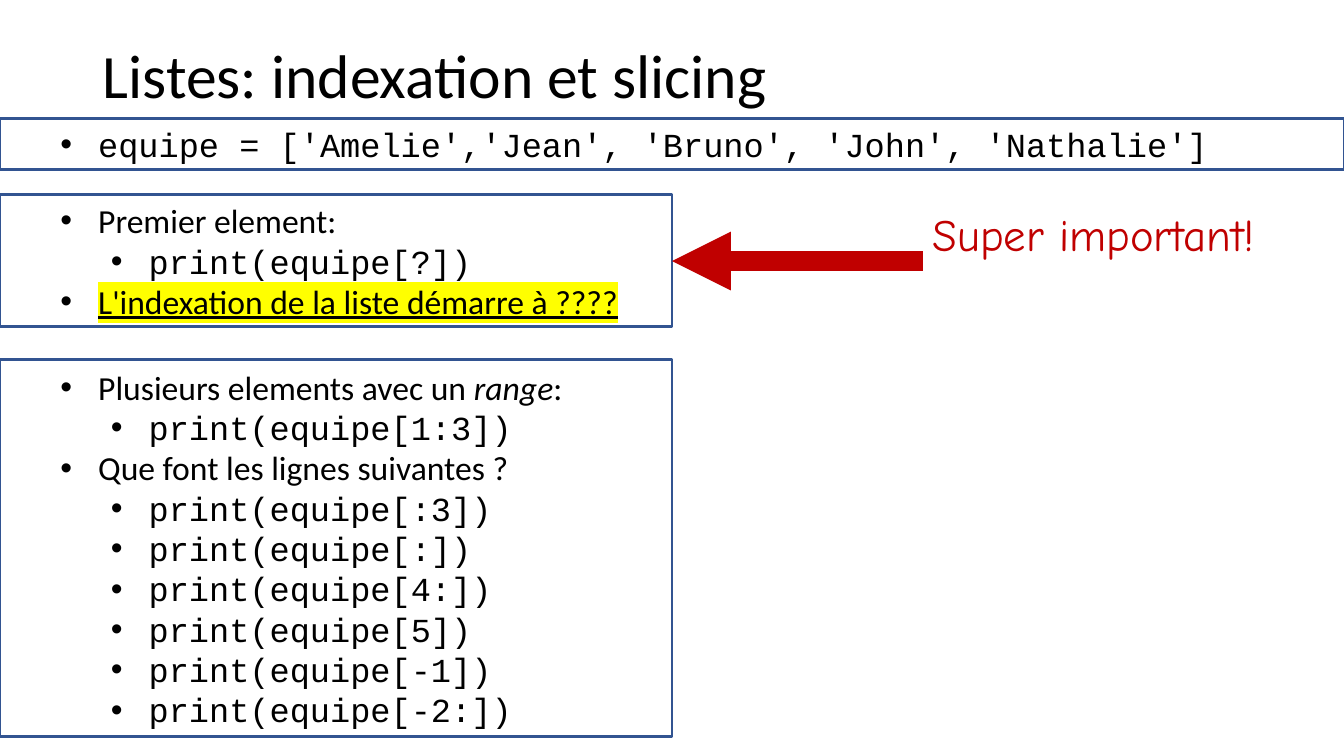
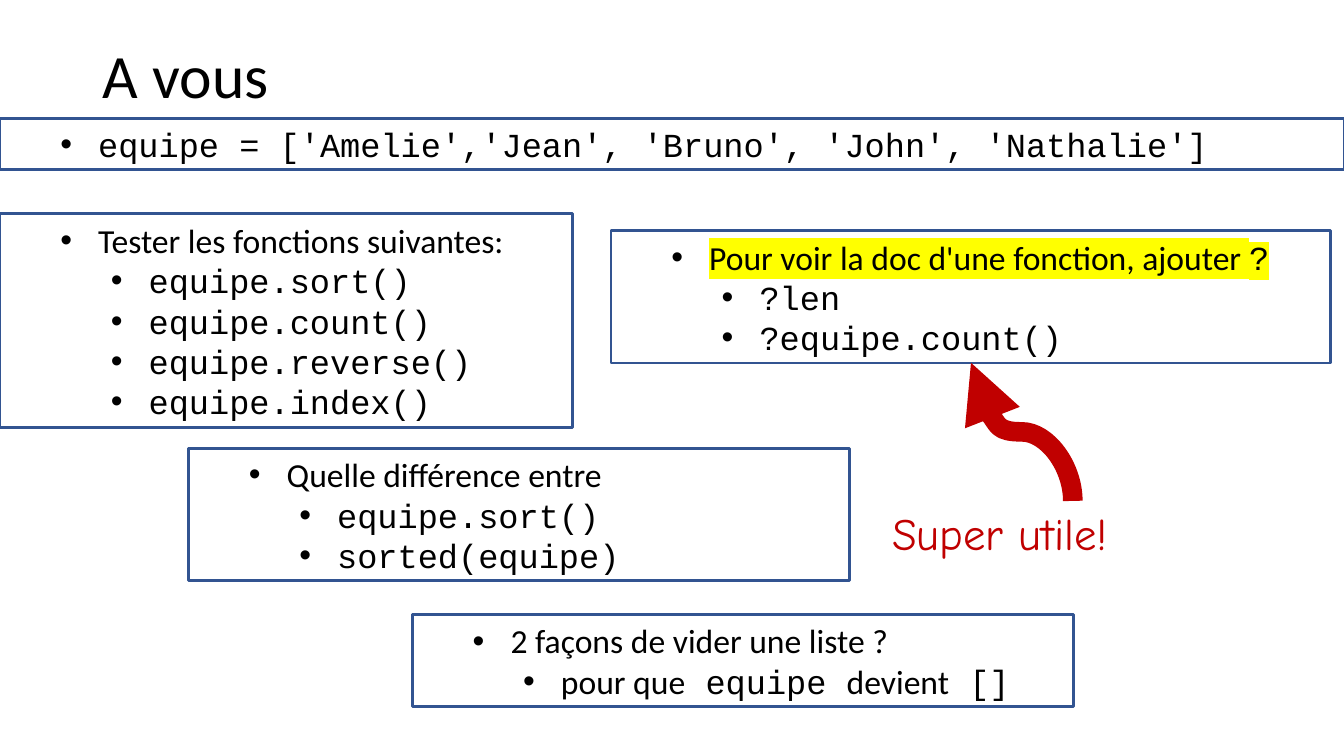
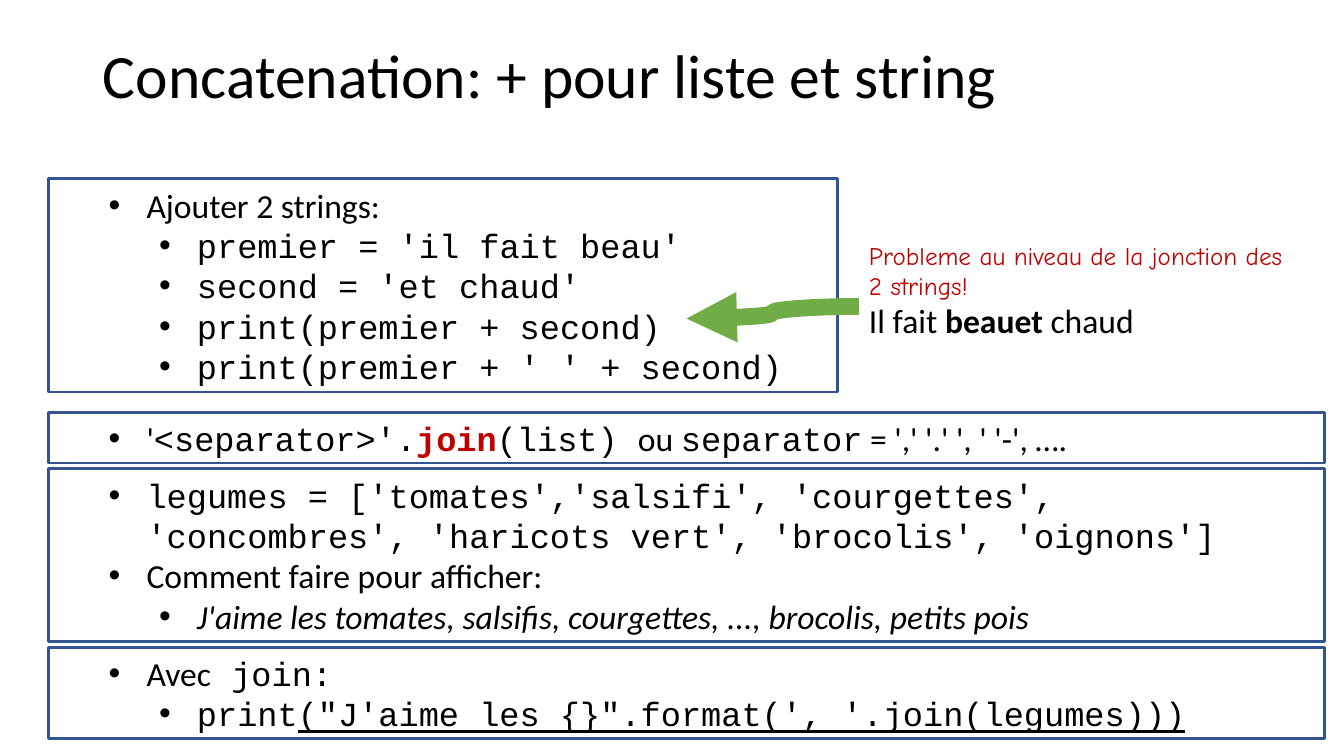
from lxml import etree
from pptx import Presentation
from pptx.dml.color import RGBColor
from pptx.enum.dml import MSO_THEME_COLOR
from pptx.enum.shapes import MSO_CONNECTOR, MSO_SHAPE
from pptx.enum.text import MSO_ANCHOR, MSO_AUTO_SIZE, PP_ALIGN
from pptx.oxml.ns import qn
from pptx.util import Inches, Pt

RECT = MSO_SHAPE.RECTANGLE
STRAIGHT, CURVE = MSO_CONNECTOR.STRAIGHT, MSO_CONNECTOR.CURVE
TOP, LEFT = MSO_ANCHOR.TOP, PP_ALIGN.LEFT
GROW, FIXED = MSO_AUTO_SIZE.SHAPE_TO_FIT_TEXT, MSO_AUTO_SIZE.NONE

BLACK = RGBColor(0x00, 0x00, 0x00)
NAVY = RGBColor(0x32, 0x54, 0x91)
RED = RGBColor(0xC0, 0x00, 0x00)
GREEN = RGBColor(0x70, 0xAD, 0x47)
YELLOW = "FFFF00"

PROSE, CODE, HAND = "Calibri", "Courier New", "Comic Neue"
WIDTH, HEIGHT = 13.33, 7.5
ROW, PAD = 0.404, 0.1
HALF = WIDTH / 2
MARGIN = 0.48
WIDE = 12.66


def prose(text, **look):
    return dict(text=text, font=PROSE, **look)


def code(text, **look):
    return dict(text=text, font=CODE, **look)


def hand(text, size):
    return dict(text=text, font=HAND, size=size, color=RED)


def head(*runs):
    return 1, runs


def subs(*lines):
    return [(2, [code(line)]) for line in lines]


TEAM = (0, 1.18, WIDTH, 1, [
    head(code("equipe = ['Amelie','Jean', 'Bruno', 'John', 'Nathalie']"))])

SLIDES = [
    dict(
        title="Listes: indexation et slicing",
        boxes=[
            TEAM,
            (0, 1.93, HALF, 3, [
                head(prose("Premier element:")),
                *subs("print(equipe[?])"),
                head(prose("L'indexation de la liste démarre à ????",
                           underline=True, mark=True))]),
            (0, 3.57, HALF, 9, [
                head(prose("Plusieurs elements avec un "),
                     prose("range", italic=True), prose(":")),
                *subs("print(equipe[1:3])"),
                head(prose("Que font les lignes suivantes ?")),
                *subs("print(equipe[:3])", "print(equipe[:])",
                      "print(equipe[4:])", "print(equipe[5])",
                      "print(equipe[-1])", "print(equipe[-2:])")]),
        ],
        note=(9.15, 2, 3.8, 1.18, [[hand("Super important!", 32)]]),
        arrow=(STRAIGHT, (9.15, 2.59), (HALF, 2.59), RED, 14, False),
    ),
    dict(
        title="A vous",
        boxes=[
            TEAM,
            (0, 2.12, 5.68, 5, [
                head(prose("Tester les fonctions suivantes:")),
                *subs("equipe.sort()", "equipe.count()",
                      "equipe.reverse()", "equipe.index()")]),
            (1.87, 4.45, 6.56, 3, [
                head(prose("Quelle différence entre")),
                *subs("equipe.sort()", "sorted(equipe)")]),
            (4.09, 6.1, 6.56, 2, [
                head(prose("2 façons de vider une liste ?")),
                (2, [prose("pour que"), code(" equipe "),
                     prose("devient"), code(" []")])]),
            (6.06, 2.29, 7.14, 3, [
                head(prose("Pour voir la doc d'une fonction, ajouter ", mark=True),
                     code("?", mark=True)),
                *subs("?len", "?equipe.count()")]),
        ],
        note=(8.75, 4.97, 3.8, 0.64, [[hand("Super utile!", 32)]]),
        arrow=(CURVE, (10.64, 4.97), (9.63, 3.6), RED, 14, True),
    ),
    dict(
        title="Concatenation: + pour liste et string",
        boxes=[
            (MARGIN, 1.77, 7.83, 5, [
                head(prose("Ajouter 2 strings:")),
                *subs("premier = 'il fait beau'", "second = 'et chaud'",
                      "print(premier + second)",
                      "print(premier + ' ' + second)")]),
            (MARGIN, 4.09, WIDE, 1, [
                head(prose("'"), code("<separator>'."),
                     code("join", color=RED, bold=True), code("(list) "),
                     prose("ou "), code("separator"),
                     prose(" = ',' '.' ', ' '-', ….")),
            ]),
            (MARGIN, 4.65, WIDE, 4, [
                head(code("legumes = ['tomates','salsifi', 'courgettes', "
                          "'concombres', 'haricots vert', 'brocolis', 'oignons']")),
                head(prose("Comment faire pour afficher:")),
                (2, [prose("J'aime les tomates, salsifis, courgettes, ..., "
                           "brocolis, petits pois", italic=True)])]),
            (MARGIN, 6.42, WIDE, 2, [
                head(prose("Avec"), code(" join:")),
                (2, [code("print"),
                     code("(\"J'aime les {}\".format(', '.join(legumes)))",
                          underline=True)])]),
        ],
        note=(8.52, 2.33, 4.42, 1.41, [
            [hand("Probleme au niveau de la jonction des 2 strings!", 18)],
            [prose("Il fait "), prose("beauet", bold=True), prose(" chaud")]]),
        arrow=(CURVE, (8.52, 3.04), (6.81, 3.16), GREEN, 12, False),
    ),
]


def inches(*values):
    return [Inches(v) for v in values]


def add_run(p, text, font, size=24, color=BLACK, mark=False, **look):
    r = p.add_run()
    r.text = text
    r.font.name, r.font.size = font, Pt(size)
    r.font.color.rgb = color
    for name, value in look.items():
        setattr(r.font, name, value)
    if mark:
        highlight = etree.Element(qn("a:highlight"))
        etree.SubElement(highlight, qn("a:srgbClr"), val=YELLOW)
        r.font._element.find(qn("a:solidFill")).addnext(highlight)


def add_bullet(p, level):
    pPr = p._p.get_or_add_pPr()
    pPr.set("marL", str(Inches(0.375 + 0.5 * level)))
    pPr.set("indent", str(Inches(-0.375)))
    etree.SubElement(pPr, qn("a:buFont"), typeface="Arial")
    etree.SubElement(pPr, qn("a:buChar"), char="•")
    p.level = level


def fill_text(tf, paragraphs):
    tf.word_wrap = True
    tf.auto_size = GROW
    for i, (level, runs) in enumerate(paragraphs):
        p = tf.add_paragraph() if i else tf.paragraphs[0]
        p.alignment = LEFT
        if level:
            add_bullet(p, level)
        for run in runs:
            add_run(p, **run)


def add_title(s, text):
    title = s.shapes.title
    title.left, title.top, title.width, title.height = inches(0.92, 0.4, 11.5, 0.78)
    tf = title.text_frame
    tf.word_wrap, tf.auto_size, tf.vertical_anchor = True, FIXED, TOP
    p = tf.paragraphs[0]
    p.alignment, p.line_spacing = LEFT, 0.9
    add_run(p, text, PROSE, 44)


def add_box(s, x, y, w, rows, paragraphs):
    box = s.shapes.add_shape(RECT, *inches(x, y, w, PAD + ROW * rows))
    box.shadow.inherit = False
    box.fill.background()
    box.line.color.rgb, box.line.width = NAVY, Pt(2)
    fill_text(box.text_frame, paragraphs)


def add_note(s, x, y, w, h, lines):
    tb = s.shapes.add_textbox(*inches(x, y, w, h))
    fill_text(tb.text_frame, [(0, runs) for runs in lines])


def add_arrow(s, kind, start, end, color, width, upright):
    (x1, y1), (x2, y2) = start, end
    if upright:
        cx, cy = (x1 + x2) / 2, (y1 + y2) / 2
        dx, dy = abs(y2 - y1) / 2, abs(x2 - x1) / 2
        x1, y1, x2, y2 = cx - dx, cy + dy, cx + dx, cy - dy
    arrow = s.shapes.add_connector(kind, *inches(x1, y1, x2, y2))
    spPr = arrow._element.spPr
    if upright:
        spPr.find(qn("a:xfrm")).set("rot", str(270 * 60000))
    arrow.line.color.rgb, arrow.line.width = color, Pt(width)
    etree.SubElement(spPr.find(qn("a:ln")), qn("a:tailEnd"), type="triangle")
    etree.SubElement(spPr, qn("a:effectLst"))


def main():
    prs = Presentation()
    prs.slide_width, prs.slide_height = inches(WIDTH, HEIGHT)
    fill = prs.slide_master.background.fill
    fill.solid()
    fill.fore_color.theme_color = MSO_THEME_COLOR.BACKGROUND_1
    for content in SLIDES:
        s = prs.slides.add_slide(prs.slide_layouts[5])
        add_title(s, content["title"])
        for box in content["boxes"]:
            add_box(s, *box)
        add_note(s, *content["note"])
        add_arrow(s, *content["arrow"])
    prs.save("out.pptx")


if __name__ == "__main__":
    main()
